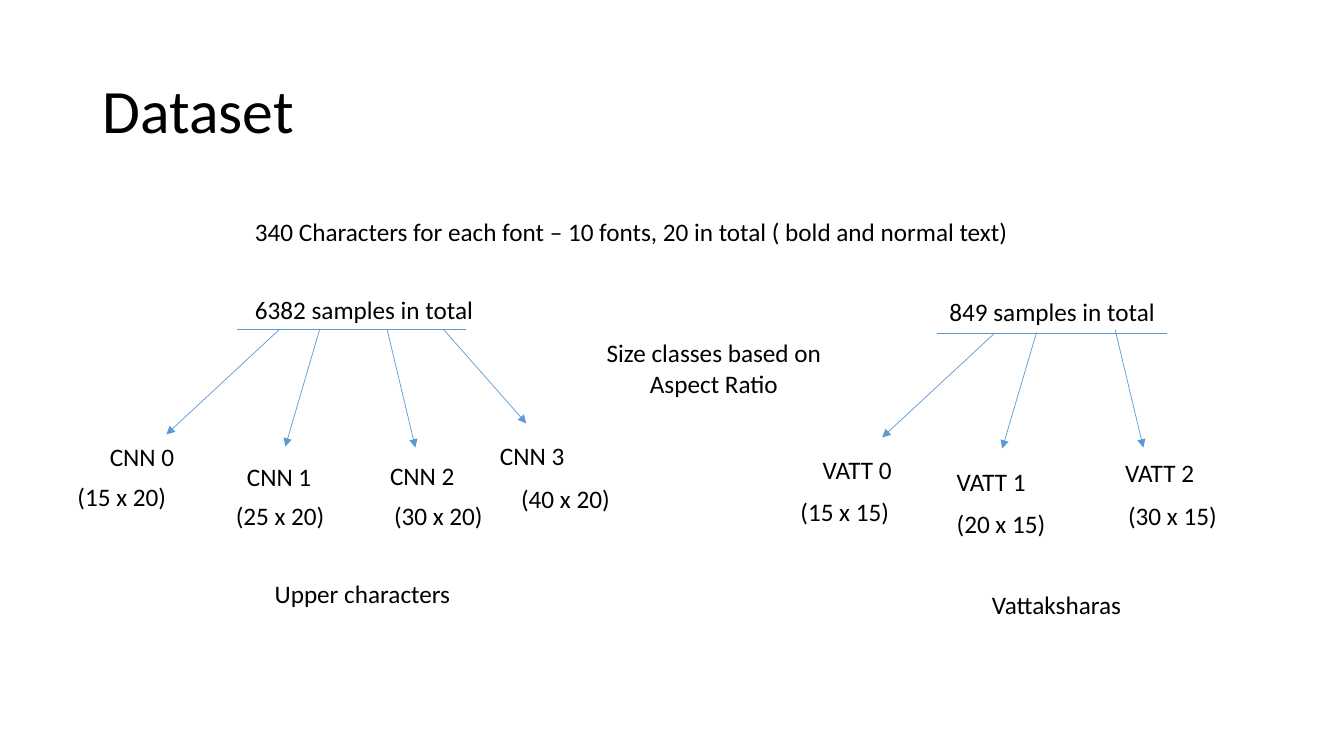
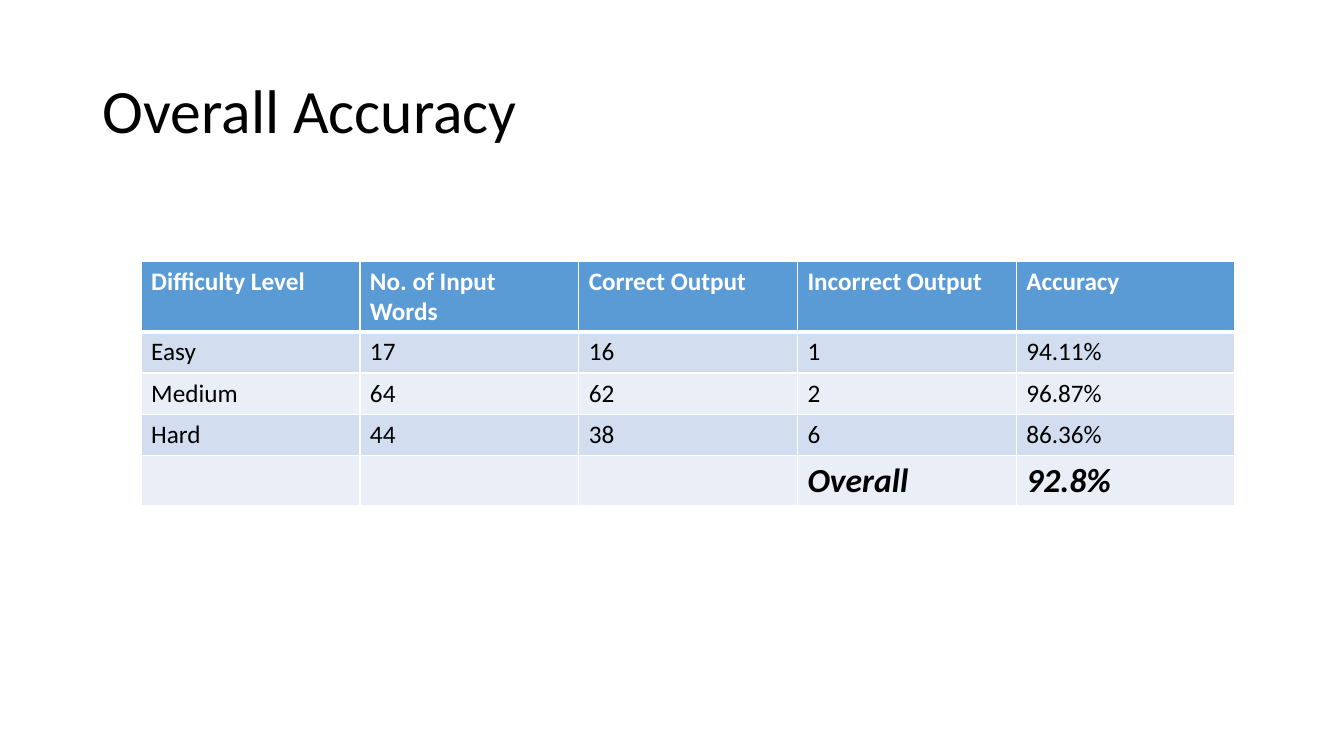
from lxml.etree import SubElement
from pptx import Presentation
from pptx.dml.color import RGBColor
from pptx.enum.shapes import MSO_CONNECTOR as Connector
from pptx.enum.text import MSO_ANCHOR as Anchor, PP_ALIGN as Align
from pptx.oxml.ns import qn
from pptx.util import Inches, Pt

FONT = "Calibri"
COLORS = {
    "text": "000000",
    "white": "FFFFFF",
    "blue": "5B9BD5",
    "dark_band": "D2DEEF",
    "light_band": "EAEFF7",
}
LINE_HEIGHT = 0.4

UPPER_CLASSES = [
    ("CNN 0", (0.99, 4.33), "(15 x 20)", (0.67, 4.73)),
    ("CNN 1", (2.35, 4.53), "(25 x 20)", (2.24, 4.91)),
    ("CNN 2", (3.77, 4.52), "(30 x 20)", (3.81, 4.91)),
    ("CNN 3", (4.86, 4.32), "(40 x 20)", (5.07, 4.75)),
]
UPPER_ARROWS = [
    ((2.77, 3.27), (1.65, 4.31)),
    ((3.17, 3.27), (2.83, 4.43)),
    ((3.84, 3.27), (4.12, 4.44)),
    ((4.4, 3.27), (5.22, 4.2)),
]
VATT_CLASSES = [
    ("VATT 0", (8.06, 4.46), "(15 x 15)", (7.84, 4.87)),
    ("VATT 1", (9.39, 4.58), "(20 x 15)", (9.39, 4.99)),
    ("VATT 2", (11.06, 4.49), "(30 x 15)", (11.09, 4.91)),
]
VATT_ARROWS = [
    ((9.86, 3.31), (8.75, 4.34)),
    ((10.28, 3.3), (9.94, 4.45)),
    ((11.06, 3.27), (11.34, 4.44)),
]
ACCURACY_ROWS = [
    ("Difficulty Level", "No. of Input Words", "Correct Output", "Incorrect Output", "Accuracy"),
    ("Easy", "17", "16", "1", "94.11%"),
    ("Medium", "64", "62", "2", "96.87%"),
    ("Hard", "44", "38", "6", "86.36%"),
    ("", "", "", "Overall", "92.8%"),
]
ROW_HEIGHTS = [0.7, 0.41, 0.41, 0.41, 0.5]
COLUMN_WIDTH = 2.17


def color(name):
    return RGBColor.from_string(COLORS[name])


def style_text(para, size=18, color_name="text", bold=False, italic=False):
    for span in para.runs:
        span.font.name = FONT
        span.font.size = Pt(size)
        span.font.color.rgb = color(color_name)
        span.font.bold = bold
        span.font.italic = italic


def add_text(page, text, left, top, width, height=LINE_HEIGHT, align=Align.LEFT, size=18):
    box = page.shapes.add_textbox(Inches(left), Inches(top), Inches(width), Inches(height))
    box.text_frame.word_wrap = True
    para = box.text_frame.paragraphs[0]
    para.text = text
    para.alignment = align
    style_text(para, size)
    return box


def add_page(deck, title):
    page = deck.slides.add_slide(deck.slide_layouts[6])
    box = add_text(page, title, 0.92, 0.4, 11.5, 1.45, size=44)
    box.text_frame.vertical_anchor = Anchor.MIDDLE
    box.text_frame.paragraphs[0].line_spacing = 0.9
    return page


def add_line(page, start, end, arrow=False):
    points = [Inches(value) for value in (*start, *end)]
    line = page.shapes.add_connector(Connector.STRAIGHT, *points)
    line.line.width = Pt(0.5)
    line.line.color.rgb = color("blue")
    properties = line._element.spPr
    if arrow:
        SubElement(properties.find(qn("a:ln")), qn("a:tailEnd"), type="triangle")
    SubElement(properties, qn("a:effectLst"))


def add_tree(page, underline, arrows, classes, name_width):
    add_line(page, *underline)
    for start, end in arrows:
        add_line(page, start, end, arrow=True)
    for name, name_at, dimensions, dimensions_at in classes:
        add_text(page, name, *name_at, name_width)
        add_text(page, dimensions, *dimensions_at, 1.09)


def set_borders(cell, top, bottom):
    properties = cell._tc.get_or_add_tcPr()
    for side, width in (("L", 1), ("R", 1), ("T", top), ("B", bottom)):
        border = SubElement(properties, qn(f"a:ln{side}"), w=str(Pt(width)))
        fill = SubElement(border, qn("a:solidFill"))
        SubElement(fill, qn("a:srgbClr"), val=COLORS["white"])


def style_cell(cell, row_index):
    header = row_index == 0
    overall = row_index == len(ACCURACY_ROWS) - 1
    set_borders(cell, top=3 if row_index == 1 else 1, bottom=3 if header else 1)
    band = "dark_band" if row_index % 2 else "light_band"
    cell.fill.solid()
    cell.fill.fore_color.rgb = color("blue" if header else band)
    style_text(
        cell.text_frame.paragraphs[0],
        size=24 if overall else 18,
        color_name="white" if header else "text",
        bold=header or overall,
        italic=overall,
    )


def add_accuracy_table(page, left, top):
    column_count = len(ACCURACY_ROWS[0])
    table = page.shapes.add_table(
        len(ACCURACY_ROWS), column_count, Inches(left), Inches(top),
        Inches(COLUMN_WIDTH * column_count), Inches(sum(ROW_HEIGHTS)),
    ).table
    for column in table.columns:
        column.width = Inches(COLUMN_WIDTH)
    for row_index, values in enumerate(ACCURACY_ROWS):
        table.rows[row_index].height = Inches(ROW_HEIGHTS[row_index])
        for column_index, value in enumerate(values):
            cell = table.cell(row_index, column_index)
            cell.text_frame.text = value
            style_cell(cell, row_index)


def add_dataset_page(deck):
    page = add_page(deck, "Dataset")
    add_text(page, "340 Characters for each font – 10 fonts, 20 in total ( bold and normal text)",
             2.43, 2.1, 8.32)
    add_text(page, "6382 samples in total", 2.43, 2.87, 7.68)
    add_tree(page, ((2.35, 3.27), (4.62, 3.27)), UPPER_ARROWS, UPPER_CLASSES, 0.88)
    add_text(page, "Upper characters", 1.76, 5.69, 3.67, align=Align.CENTER)
    add_text(page, "Size classes based on Aspect Ratio", 5.59, 3.3, 2.98, 0.71, Align.CENTER)
    add_text(page, "849 samples in total", 8.35, 2.89, 4.17, align=Align.CENTER)
    add_tree(page, ((9.29, 3.31), (11.57, 3.31)), VATT_ARROWS, VATT_CLASSES, 1.1)
    add_text(page, "Vattaksharas", 9.74, 5.8, 3.5)


def main():
    deck = Presentation()
    deck.slide_width = Inches(13.33)
    deck.slide_height = Inches(7.5)
    add_dataset_page(deck)
    add_accuracy_table(add_page(deck, "Overall Accuracy"), 1.4, 2.59)
    deck.save("out.pptx")


if __name__ == "__main__":
    main()
